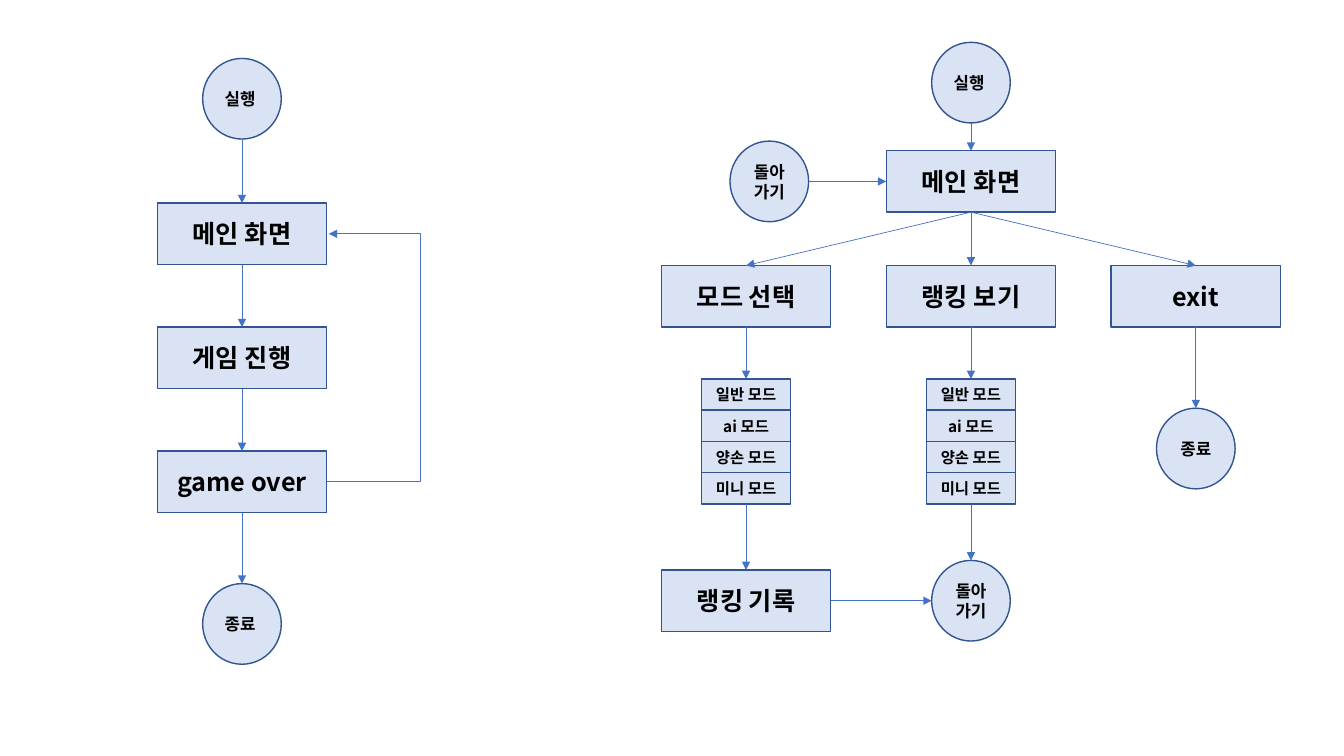
"""Build a slide with two flowcharts of a game: the basic loop and the menu tree."""
from lxml import etree
from pptx import Presentation
from pptx.dml.color import RGBColor
from pptx.enum.shapes import MSO_CONNECTOR, MSO_SHAPE
from pptx.enum.text import MSO_ANCHOR, PP_ALIGN
from pptx.oxml.ns import qn
from pptx.util import Inches, Pt

RECTANGLE, OVAL = MSO_SHAPE.RECTANGLE, MSO_SHAPE.OVAL
STRAIGHT, ELBOW = MSO_CONNECTOR.STRAIGHT, MSO_CONNECTOR.ELBOW
CENTER, MIDDLE = PP_ALIGN.CENTER, MSO_ANCHOR.MIDDLE

FONT = "Noto Sans CJK KR"
COLORS = {"fill": "DAE3F3", "outline": "325491", "arrow": "4472C4", "text": "000000"}

# kind: preset, width, height, text size
KINDS = {
    "circle": (OVAL, 0.78, 0.8, 12),
    "box": (RECTANGLE, 1.68, 0.61, 18),
    "mode": (RECTANGLE, 0.88, 0.31, 11),
}

LOOP_X = 2.4
MODE_X, RANKING_X, EXIT_X = 7.4, 9.63, 11.86
MODES = ["일반 모드", "ai 모드", "양손 모드", "미니 모드"]
MODES_TOP = 3.76

# name: kind, text, center x, center y
NODES = {
    "loop start": ("circle", "실행 ", LOOP_X, 0.98),
    "loop main": ("box", "메인 화면", LOOP_X, 2.32),
    "loop play": ("box", "게임 진행", LOOP_X, 3.55),
    "loop over": ("box", "game over", LOOP_X, 4.78),
    "loop end": ("circle", "종료 ", LOOP_X, 6.19),
    "start": ("circle", "실행 ", RANKING_X, 0.82),
    "back to main": ("circle", "돌아가기", 7.63, 1.8),
    "main": ("box", "메인 화면", RANKING_X, 1.8),
    "mode choice": ("box", "모드 선택", MODE_X, 2.94),
    "ranking view": ("box", "랭킹 보기", RANKING_X, 2.94),
    "exit": ("box", "exit", EXIT_X, 2.94),
    "ranking record": ("box", "랭킹 기록", MODE_X, 5.96),
    "back": ("circle", "돌아가기", RANKING_X, 5.96),
    "end": ("circle", "종료", EXIT_X, 4.45),
}
mode_height = KINDS["mode"][2]
for list_name, list_x in (("play", MODE_X), ("rank", RANKING_X)):
    for index, mode in enumerate(MODES):
        mode_y = MODES_TOP + (index + 0.5) * mode_height
        NODES[f"{list_name} {index}"] = ("mode", mode, list_x, mode_y)

DOWN_ARROWS = [
    ("loop start", "loop main"), ("loop main", "loop play"),
    ("loop play", "loop over"), ("loop over", "loop end"),
    ("start", "main"), ("main", "mode choice"),
    ("main", "ranking view"), ("main", "exit"),
    ("mode choice", "play 0"), ("play 3", "ranking record"),
    ("ranking view", "rank 0"), ("rank 3", "back"), ("exit", "end"),
]
RIGHT_ARROWS = [("back to main", "main"), ("ranking record", "back")]
RETURN_GAP, RETURN_X = 0.02, 4.17


def side(name, across, down):
    """Return the point on a node's edge in the given direction."""
    kind, _, x, y = NODES[name]
    _, width, height, _ = KINDS[kind]
    return x + across * width / 2, y + down * height / 2


def add_node(slide, kind, text, x, y):
    """Draw one labelled node around its center."""
    preset, width, height, size = KINDS[kind]
    shape = slide.shapes.add_shape(
        preset, Inches(x - width / 2), Inches(y - height / 2), Inches(width), Inches(height))
    shape.shadow.inherit = False
    shape.fill.solid()
    shape.fill.fore_color.rgb = RGBColor.from_string(COLORS["fill"])
    shape.line.color.rgb = RGBColor.from_string(COLORS["outline"])
    shape.line.width = Pt(1)
    frame = shape.text_frame
    frame.text = text
    frame.word_wrap = True
    frame.vertical_anchor = MIDDLE
    paragraph = frame.paragraphs[0]
    paragraph.alignment = CENTER
    font = paragraph.runs[0].font
    font.name, font.size, font.bold = FONT, Pt(size), True
    font.color.rgb = RGBColor.from_string(COLORS["text"])
    properties = paragraph.runs[0]._r.get_or_add_rPr()
    etree.SubElement(properties, qn("a:ea"), typeface=FONT)


def add_arrow(slide, start, end, route=STRAIGHT):
    """Draw a thin connector with a triangle at its end."""
    connector = slide.shapes.add_connector(route, *map(Inches, start + end))
    connector.line.color.rgb = RGBColor.from_string(COLORS["arrow"])
    connector.line.width = Pt(0.5)
    etree.SubElement(connector.line._get_or_add_ln(), qn("a:tailEnd"), type="triangle")
    etree.SubElement(connector._element.spPr, qn("a:effectLst"))
    return connector


def add_return_arrow(slide):
    """Draw the bent arrow from game over back to the main screen."""
    start = side("loop over", 1, 0)
    right, y = side("loop main", 1, 0)
    connector = add_arrow(slide, start, (right + RETURN_GAP, y), ELBOW)
    bend = round((RETURN_X - right) / RETURN_GAP * 100000)
    geometry = connector._element.spPr.find(qn("a:prstGeom"))
    adjustments = geometry.find(qn("a:avLst"))
    etree.SubElement(adjustments, qn("a:gd"), name="adj1", fmla=f"val {bend}")


def main():
    """Build and save the presentation."""
    presentation = Presentation()
    presentation.slide_width, presentation.slide_height = Inches(13.33), Inches(7.5)
    slide = presentation.slides.add_slide(presentation.slide_layouts[6])
    for node in NODES.values():
        add_node(slide, *node)
    for source, target in DOWN_ARROWS:
        add_arrow(slide, side(source, 0, 1), side(target, 0, -1))
    for source, target in RIGHT_ARROWS:
        add_arrow(slide, side(source, 1, 0), side(target, -1, 0))
    add_return_arrow(slide)
    presentation.save("out.pptx")


if __name__ == "__main__":
    main()
